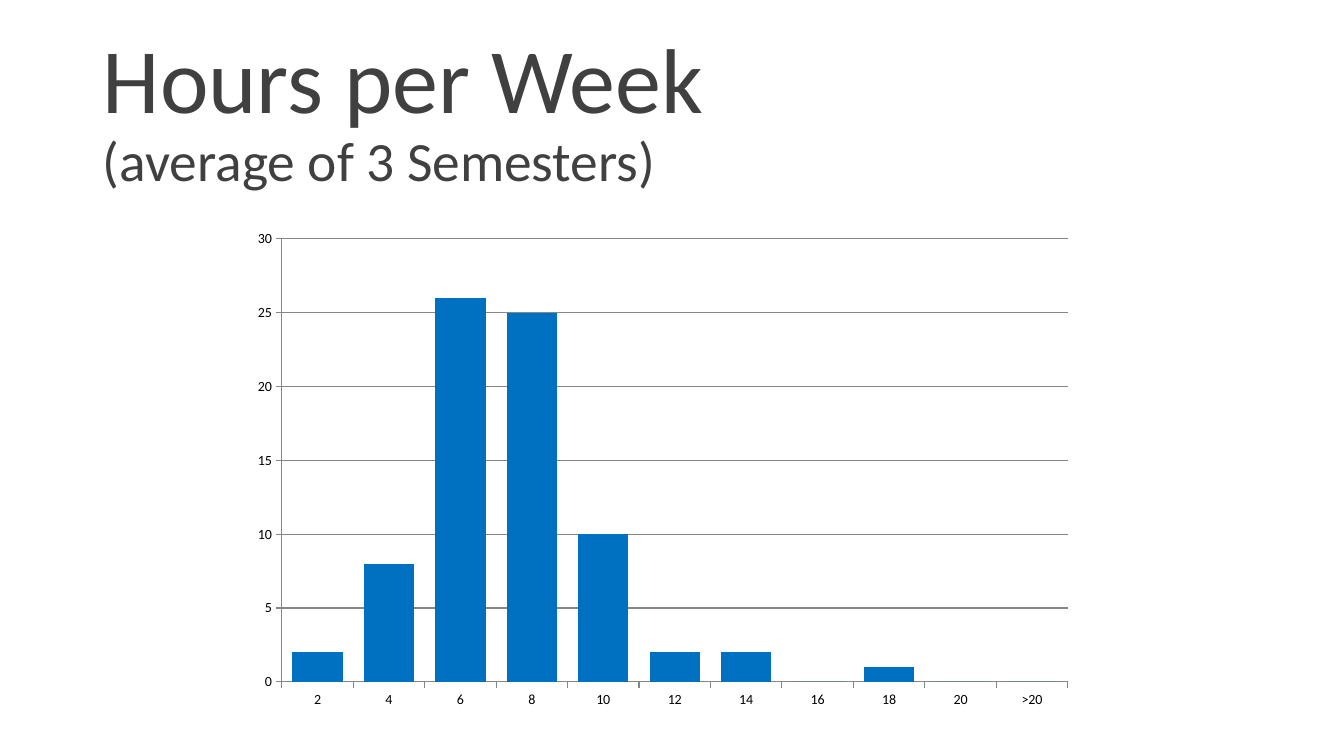
from lxml.etree import SubElement
from pptx import Presentation
from pptx.chart.data import CategoryChartData
from pptx.dml.color import RGBColor
from pptx.enum.chart import XL_CHART_TYPE, XL_TICK_MARK
from pptx.enum.text import MSO_ANCHOR, MSO_AUTO_SIZE, PP_ALIGN
from pptx.oxml.ns import qn
from pptx.util import Inches, Pt

TITLE = "Hours per Week"
SUBTITLE = "(average of 3 Semesters)"
HOURS = ["2", "4", "6", "8", "10", "12", "14", "16", "18", "20", ">20"]
COUNTS = [2, 8, 26, 25, 10, 2, 2, 0, 1, 0, 0]

TITLE_BOX = (0.92, 0.4, 11.5, 1.45)
CHART_BOX = (2.42, 2.15, 8.32, 4.9)
PLOT = {"x": 0.045, "y": 0.045, "w": 0.937, "h": 0.897}

THEME = {
    "font": "Calibri",
    "title": RGBColor(0x40, 0x40, 0x40),
    "text": RGBColor(0, 0, 0),
    "bar": RGBColor(0x00, 0x70, 0xC0),
    "line": RGBColor(0x86, 0x86, 0x86),
    "title_size": Pt(65.7),
    "subtitle_size": Pt(39.6),
    "chart_size": Pt(10),
}


def add_title(s):
    title = s.shapes.title
    title.left, title.top, title.width, title.height = map(Inches, TITLE_BOX)
    tf = title.text_frame
    tf.word_wrap = True
    tf.auto_size = MSO_AUTO_SIZE.NONE
    tf.vertical_anchor = MSO_ANCHOR.MIDDLE
    p = tf.paragraphs[0]
    p.alignment = PP_ALIGN.LEFT
    p.line_spacing = 0.9
    p.font.name = THEME["font"]
    p.font.color.rgb = THEME["title"]
    r = p.add_run()
    r.text = TITLE
    r.font.size = THEME["title_size"]
    p.add_line_break()
    r = p.add_run()
    r.text = SUBTITLE
    r.font.size = THEME["subtitle_size"]


def set_plot_layout(chart):
    area = chart._chartSpace.chart.plotArea
    for old in area.findall(qn("c:layout")):
        area.remove(old)
    layout = SubElement(area, qn("c:layout"))
    area.insert(0, layout)
    manual = SubElement(layout, qn("c:manualLayout"))
    settings = {"layoutTarget": "inner", "xMode": "edge", "yMode": "edge", **PLOT}
    for tag, value in settings.items():
        SubElement(manual, qn(f"c:{tag}")).set("val", str(value))


def add_histogram(s):
    data = CategoryChartData()
    data.categories = HOURS
    data.add_series("Series 1", COUNTS)
    chart = s.shapes.add_chart(
        XL_CHART_TYPE.COLUMN_CLUSTERED, *map(Inches, CHART_BOX), data
    ).chart
    chart.has_legend = False
    chart.has_title = False
    chart.font.name = THEME["font"]
    chart.font.size = THEME["chart_size"]
    chart.font.color.rgb = THEME["text"]
    plot = chart.plots[0]
    plot.gap_width = 42
    plot.vary_by_categories = False
    fill = plot.series[0].format.fill
    fill.solid()
    fill.fore_color.rgb = THEME["bar"]
    value_axis = chart.value_axis
    value_axis.minimum_scale, value_axis.maximum_scale = 0, 30
    value_axis.major_unit = 5
    value_axis.has_major_gridlines = True
    for axis in (chart.category_axis, value_axis):
        axis.major_tick_mark = XL_TICK_MARK.OUTSIDE
        axis.minor_tick_mark = XL_TICK_MARK.NONE
    for part in (chart.category_axis, value_axis, value_axis.major_gridlines):
        part.format.line.color.rgb = THEME["line"]
        part.format.line.width = Pt(0.75)
    set_plot_layout(chart)


def main():
    prs = Presentation()
    prs.slide_width, prs.slide_height = Inches(13.33), Inches(7.5)
    s = prs.slides.add_slide(prs.slide_layouts[5])
    add_title(s)
    add_histogram(s)
    prs.save("out.pptx")


if __name__ == "__main__":
    main()
